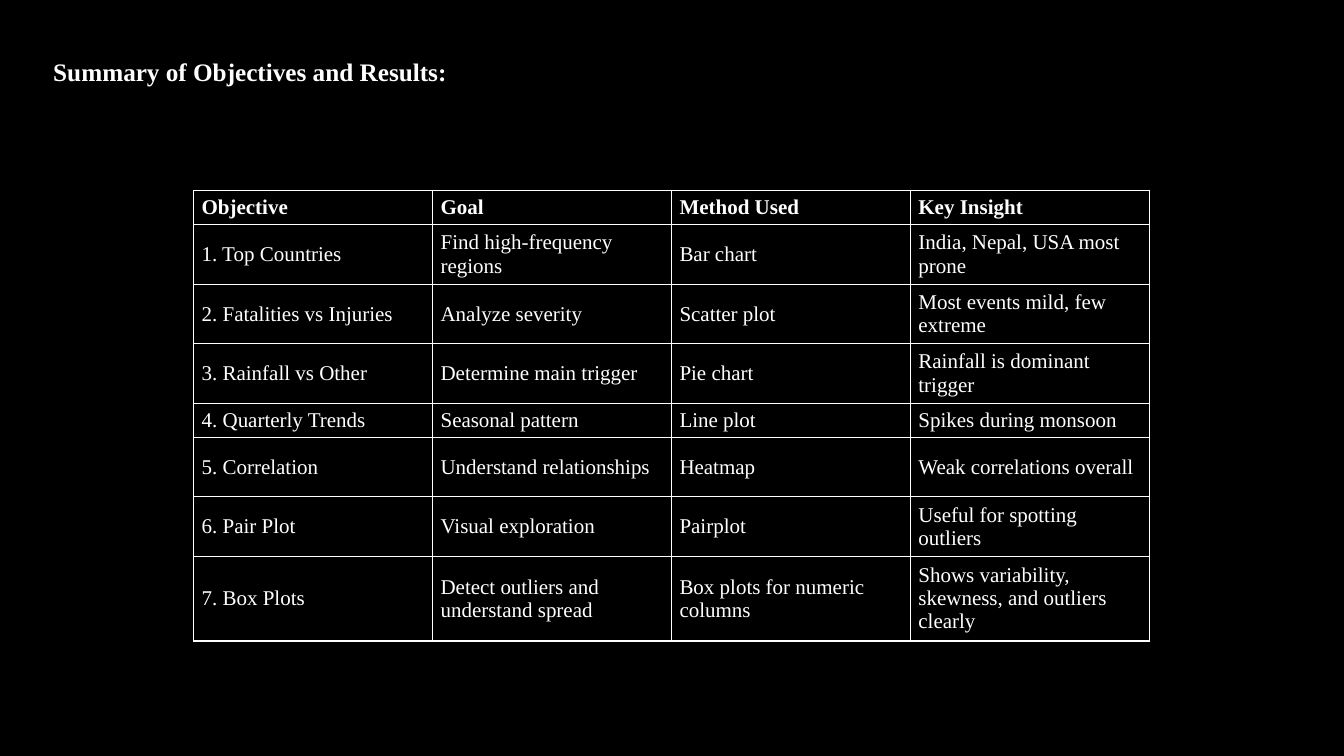
from lxml.etree import SubElement
from pptx import Presentation
from pptx.dml.color import RGBColor
from pptx.enum.text import MSO_ANCHOR
from pptx.oxml.ns import qn
from pptx.util import Inches, Pt

# Content
TITLE = "Summary of Objectives and Results:"
ROWS = [
    ("Objective", "Goal", "Method Used", "Key Insight"),
    ("1. Top Countries", "Find high-frequency regions", "Bar chart",
     "India, Nepal, USA most prone"),
    ("2. Fatalities vs Injuries", "Analyze severity", "Scatter plot",
     "Most events mild, few extreme"),
    ("3. Rainfall vs Other", "Determine main trigger", "Pie chart",
     "Rainfall is dominant trigger"),
    ("4. Quarterly Trends", "Seasonal pattern", "Line plot",
     "Spikes during monsoon"),
    ("5. Correlation", "Understand relationships", "Heatmap",
     "Weak correlations overall"),
    ("6. Pair Plot", "Visual exploration", "Pairplot",
     "Useful for spotting outliers"),
    ("7. Box Plots", "Detect outliers and understand spread",
     "Box plots for numeric columns",
     "Shows variability, skewness, and outliers clearly"),
]
HEIGHTS = [0.34, 0.59, 0.59, 0.59, 0.34, 0.59, 0.59, 0.84]
WIDTH = 2.37
COLORS = {"back": "000000", "text": "FFFFFF", "line": "FFFFFF"}
FONT = "Times New Roman"


def write(frame, text, size=15, bold=False):
    para = frame.paragraphs[0]
    run = para.add_run()
    run.text = text
    run.font.name = FONT
    run.font.size = Pt(size)
    run.font.bold = bold
    run.font.color.rgb = RGBColor.from_string(COLORS["text"])


def border(cell):
    props = cell._tc.get_or_add_tcPr()
    for place, side in enumerate(("a:lnL", "a:lnR", "a:lnT", "a:lnB")):
        line = SubElement(props, qn(side), w=str(Pt(1)))
        fill = SubElement(line, qn("a:solidFill"))
        SubElement(fill, qn("a:srgbClr"), val=COLORS["line"])
        props.insert(place, line)  # borders come before the fill


deck = Presentation()
deck.slide_width, deck.slide_height = Inches(13.33), Inches(7.5)
slide = deck.slides.add_slide(deck.slide_layouts[6])
slide.background.fill.solid()
slide.background.fill.fore_color.rgb = RGBColor.from_string(COLORS["back"])

# Title
box = slide.shapes.add_textbox(Inches(0.43), Inches(0.49), Inches(4.14), Inches(0.71))
box.text_frame.word_wrap = False
box.text_frame.vertical_anchor = MSO_ANCHOR.TOP
box.text_frame.margin_top = Inches(0.07)
write(box.text_frame, TITLE, size=18, bold=True)

# Summary table
count = len(ROWS[0])
table = slide.shapes.add_table(
    len(ROWS), count, Inches(1.92), Inches(1.89),
    Inches(WIDTH * count), Inches(sum(HEIGHTS))).table
table.first_row = table.horz_banding = False
for column in table.columns:
    column.width = Inches(WIDTH)
for r, (texts, height) in enumerate(zip(ROWS, HEIGHTS)):
    table.rows[r].height = Inches(height)
    for c, text in enumerate(texts):
        cell = table.cell(r, c)
        cell.fill.background()
        cell.margin_left = cell.margin_right = Inches(0.08)
        cell.margin_top = cell.margin_bottom = Inches(0.04)
        cell.vertical_anchor = MSO_ANCHOR.MIDDLE
        write(cell.text_frame, text, bold=r == 0)
        border(cell)

deck.save("out.pptx")
